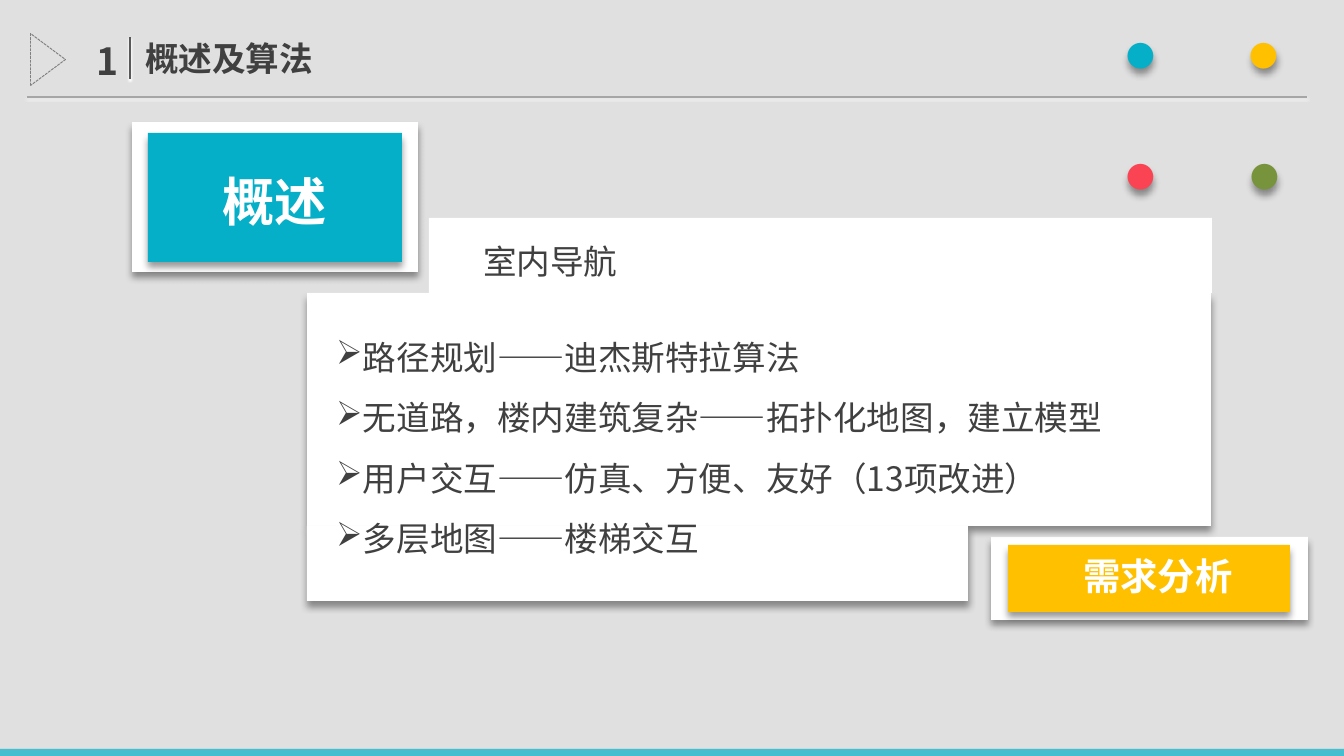
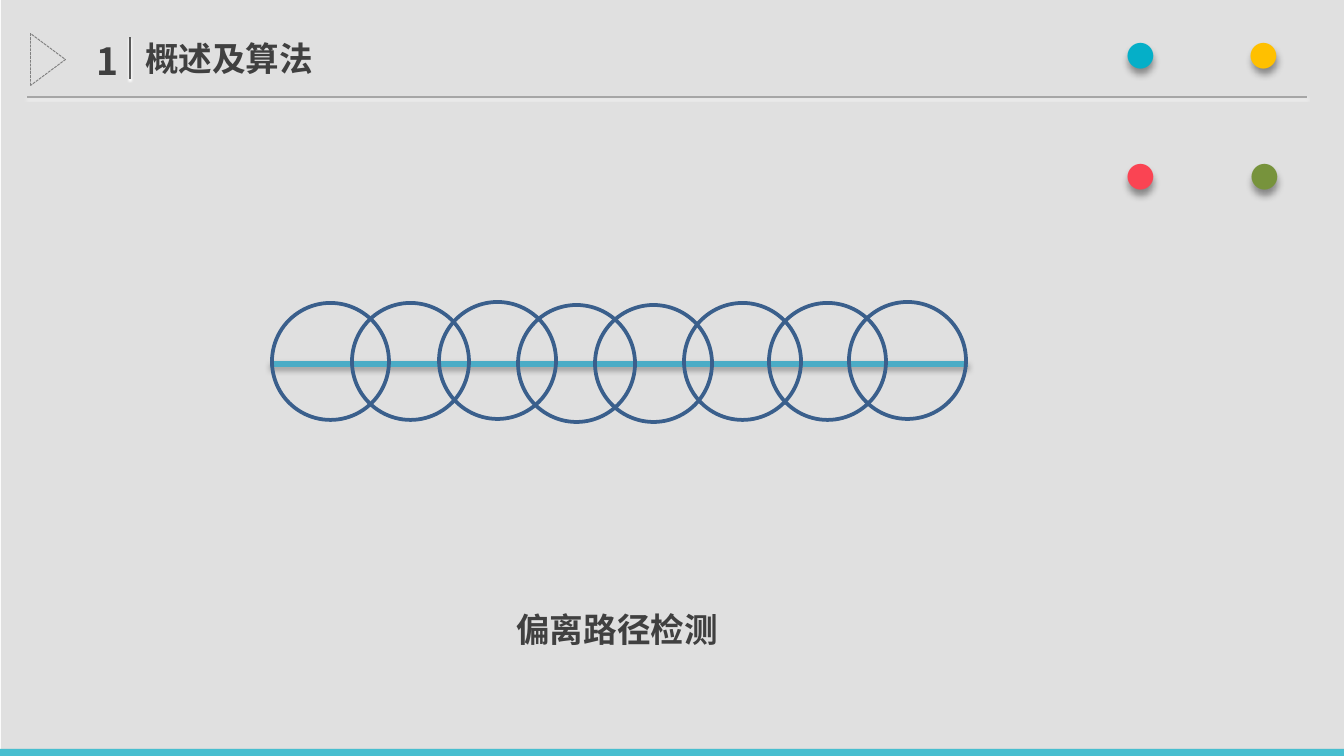
from lxml.etree import SubElement
from pptx import Presentation
from pptx.dml.color import RGBColor
from pptx.enum.dml import MSO_LINE
from pptx.enum.shapes import MSO_CONNECTOR, MSO_SHAPE as SHAPE
from pptx.enum.text import MSO_AUTO_SIZE, PP_ALIGN as ALIGN
from pptx.oxml.ns import qn
from pptx.util import Emu, Pt

PX = 914400 / 134.4  # EMU in one px
WIDTH, HEIGHT = 1344, 756
FONT = "Noto Sans CJK SC"
WHITE, INK = "FFFFFF", "404040"
TEAL, YELLOW, RED, GREEN = "05AFC8", "FFC000", "FA4453", "77933C"

# Shadows: colour, opacity in percent, blur and distance in points
SOFT = ("000000", 40, 4, 3)
GLINT = (WHITE, 100, 1, 1)
PATH_SHADOW = ("000000", 35, 3.1, 1.8)

rgb = RGBColor.from_string


def draw(slide, kind, frame, fill=None, line=None, width=1, shadow=None):
    """Add a preset shape, "text" box or "line"; a line's frame is x1, y1, x2, y2."""
    frame = [Emu(round(value * PX)) for value in frame]
    if kind == "line":
        shape = slide.shapes.add_connector(MSO_CONNECTOR.STRAIGHT, *frame)
    elif kind == "text":
        shape = slide.shapes.add_textbox(*frame)
    else:
        shape = slide.shapes.add_shape(kind, *frame)
        shape.fill.background()
        shape.line.fill.background()
    if fill:
        shape.fill.solid()
        shape.fill.fore_color.rgb = rgb(fill)
    if line:
        shape.line.color.rgb = rgb(line)
        shape.line.width = Pt(width)
    effects = SubElement(shape._element.spPr, qn("a:effectLst"))
    if shadow:
        color, opacity, blur, distance = shadow
        outer = SubElement(effects, qn("a:outerShdw"), blurRad=str(Pt(blur)),
                           dist=str(Pt(distance)), dir="5400000",
                           algn="t", rotWithShape="0")
        tint = SubElement(outer, qn("a:srgbClr"), val=color)
        SubElement(tint, qn("a:alpha"), val=str(opacity * 1000))
    return shape


def write(slide, frame, text, size, colors=(INK,), bold=True, align=ALIGN.LEFT, shadow=None):
    """Write one paragraph per line; a bar starts a run in the next colour."""
    text_frame = draw(slide, "text", frame, shadow=shadow).text_frame
    text_frame.word_wrap = True
    text_frame.auto_size = MSO_AUTO_SIZE.SHAPE_TO_FIT_TEXT
    text_frame.text = text.replace("|", "")
    for paragraph, content in zip(text_frame.paragraphs, text.split("\n")):
        paragraph.alignment = align
        paragraph.clear()
        for part, color in zip(content.split("|"), colors):
            run = paragraph.add_run()
            run.text = part
            run.font.name = FONT
            run.font.size = Pt(size)
            run.font.bold = bold
            run.font.color.rgb = rgb(color)
            SubElement(run.font._element, qn("a:ea"), typeface=FONT)
    return text_frame


presentation = Presentation()
presentation.slide_width = Emu(round(WIDTH * PX))
presentation.slide_height = Emu(round(HEIGHT * PX))
blank = presentation.slide_layouts[6]
overview, detection = [presentation.slides.add_slide(blank) for _ in range(2)]

# Shared frame: grey backdrop, section title, coloured dots, bottom band
for slide, backdrop_left in ((overview, 0), (detection, 1)):
    backdrop = draw(slide, SHAPE.RECTANGLE, (backdrop_left, -5, WIDTH, 775), "000000")
    tint = backdrop.fill._xPr.find(qn("a:solidFill"))[0]
    SubElement(tint, qn("a:alpha"), val="12000")

    draw(slide, "line", (130, 79, 130, 37), line="595959", width=1.5, shadow=GLINT)
    write(slide, (16, 32, 116, 59), "1", 20, align=ALIGN.RIGHT)
    write(slide, (132, 31, 445, 54), "概述及算法", 18)
    write(slide, (1008, -13, 320, 136), "· |· |·| ·", 54,
          (TEAL, YELLOW, RED, GREEN), align=ALIGN.RIGHT, shadow=SOFT)

    marker = draw(slide, SHAPE.FLOWCHART_MERGE, (22, 42, 52, 35), line="808080", width=0.5)
    marker.line.dash_style = MSO_LINE.SQUARE_DOT
    marker.rotation = 270
    draw(slide, SHAPE.RECTANGLE, (0, 749, WIDTH, 21), "47BECF", shadow=SOFT)
    draw(slide, "line", (27, 97, 1307, 97), line="A6A6A6", width=0.75, shadow=GLINT)

# Overview: framed labels and the stepped white panel
for frame, fill, shadow in (
    ((132, 122, 286, 150), WHITE, SOFT),
    ((148, 133, 254, 129), TEAL, SOFT),
    ((991, 537, 317, 83), WHITE, SOFT),
    ((1008, 545, 282, 67), YELLOW, SOFT),
    ((307, 293, 904, 233), WHITE, SOFT),
    ((429, 218, 783, 75), WHITE, None),
    ((307, 526, 661, 75), WHITE, SOFT),
):
    draw(overview, SHAPE.RECTANGLE, frame, fill, shadow=shadow)

write(overview, (1060, 547, 196, 59), "需求分析", 20, (WHITE,), align=ALIGN.CENTER)
write(overview, (148, 163, 254, 77), "概述", 28, (WHITE,), align=ALIGN.CENTER)
write(overview, (470, 234, 445, 54), "室内导航", 18, bold=False)

# Overview: bulleted needs
needs = write(overview, (323, 310, 888, 258), "\n".join((
    "路径规划——迪杰斯特拉算法",
    "无道路，楼内建筑复杂——拓扑化地图，建立模型",
    "用户交互——仿真、方便、友好（13项改进）",
    "多层地图——楼梯交互",
)), 18, bold=False)
for paragraph in needs.paragraphs:
    paragraph.line_spacing = 1.5
    properties = paragraph._p.get_or_add_pPr()
    properties.set("marL", "0")
    properties.set("indent", str(-round(42 * PX)))
    SubElement(properties, qn("a:buChar"), char="➢")

# Detection: a route covered by overlapping circles
write(detection, (503, 602, 241, 54), "偏离路径检测", 18)
draw(detection, "line", (270, 364, 968, 364), line="4BACC6", width=3, shadow=PATH_SHADOW)
for left, top in ((272, 303), (352, 303), (439, 302), (518, 305),
                  (595, 305), (684, 303), (769, 303), (849, 302)):
    draw(detection, SHAPE.OVAL, (left, top, 117, 117), line="3A5F8C", width=2)

presentation.save("out.pptx")
